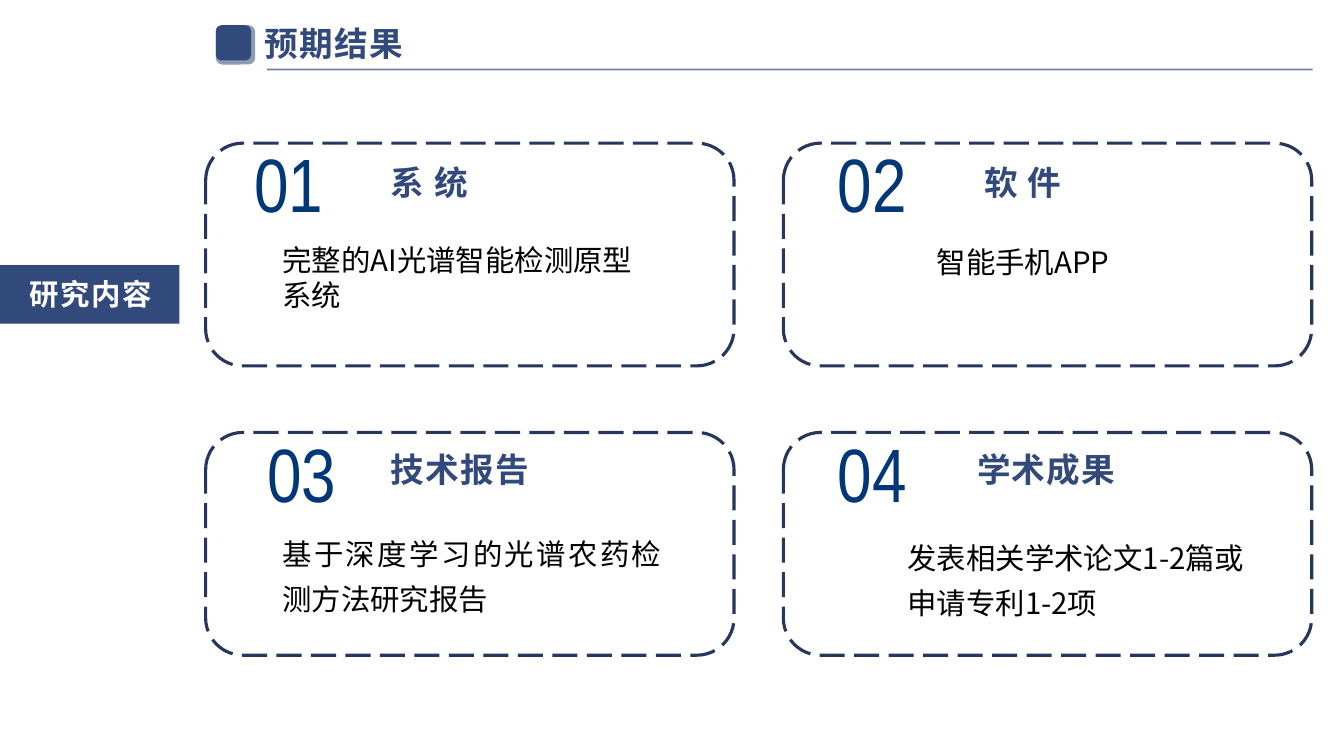
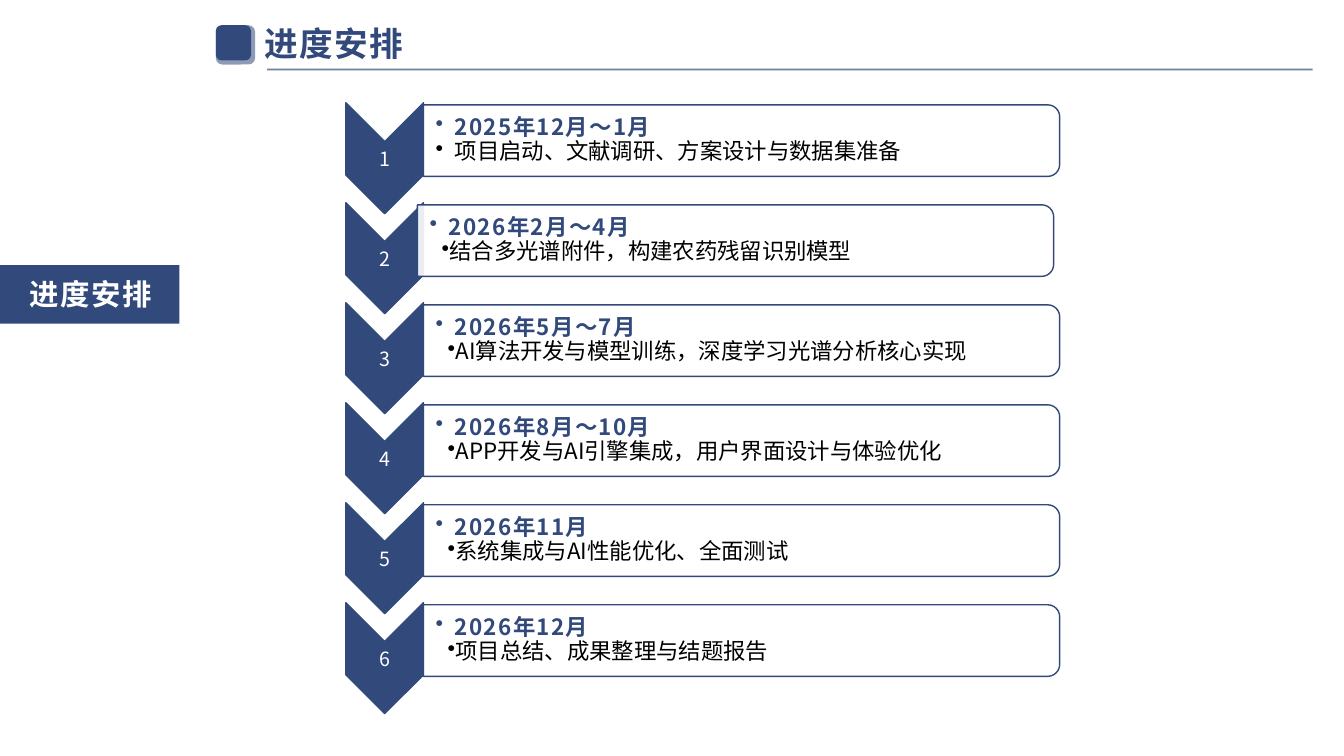
import lxml.etree
import pptx
import pptx.dml.color
import pptx.enum.dml
import pptx.enum.shapes
import pptx.enum.text
import pptx.oxml.ns
import pptx.util

Inches = pptx.util.Inches
Pt = pptx.util.Pt
RGBColor = pptx.dml.color.RGBColor
SHAPE = pptx.enum.shapes.MSO_SHAPE
ALIGN = pptx.enum.text.PP_ALIGN
ANCHOR = pptx.enum.text.MSO_ANCHOR
qn = pptx.oxml.ns.qn

NAVY = RGBColor(0x32, 0x49, 0x7B)
FRAME = RGBColor(0x25, 0x37, 0x5C)
DEEP = RGBColor(0x00, 0x37, 0x78)
WHITE = RGBColor(0xFF, 0xFF, 0xFF)
BLACK = RGBColor(0x00, 0x00, 0x00)

SANS = "Noto Sans CJK SC"
HEADING = dict(name=SANS, size=Pt(24), bold=True, color=NAVY, spacing=100)
TAG = dict(name=SANS, size=Pt(21), bold=True, color=WHITE, spacing=100)
NUMBER = dict(name="Arial Narrow", size=Pt(54), color=DEEP)
BODY = dict(name=SANS, size=Pt(21), color=BLACK)
STEP = dict(name=SANS, size=Pt(14), color=WHITE)
DATE = dict(name=SANS, size=Pt(16), bold=True, color=NAVY, spacing=100)
TASK = dict(name=SANS, size=Pt(16), color=BLACK)

CARD_INSETS = (0, 0.05, 0.1, 0.05)
CARD_W, CARD_H = 5.24, 2.21
CARD_X, CARD_Y = (2.04, 7.77), (1.42, 4.29)
CARDS = [
    dict(number="01", title="系 统", body="完整的AI光谱智能检测原型系统",
         number_at=(0.48, -0.01), title_at=(1.83, 0.14),
         body_at=(0.76, 0.93), body_w=3.79, para={}),
    dict(number="02", title="软 件", body="智能手机APP",
         number_at=(0.54, -0.01), title_at=(1.99, 0.14),
         body_at=(1.52, 0.85), body_w=3.55, para=dict(line_spacing=1.3)),
    dict(number="03", title="技术报告", body="基于深度学习的光谱农药检测方法研究报告",
         number_at=(0.61, 0), title_at=(1.83, 0.11),
         body_at=(0.76, 0.87), body_w=3.86,
         para=dict(line_spacing=1.3, alignment=ALIGN.JUSTIFY)),
    dict(number="04", title="学术成果", body="发表相关学术论文1-2篇或申请专利1-2项",
         number_at=(0.54, 0), title_at=(1.92, 0.11),
         body_at=(1.23, 0.91), body_w=3.55, para=dict(line_spacing=1.3)),
]

HANGING, FLUSH = (0.19, -0.19), (0.12, 0)
STEP_X, STEP_Y, STEP_PITCH = 3.43, 1.02, 4.96 / 5
STEPS = [
    ("2025年12月～1月", "项目启动、文献调研、方案设计与数据集准备", HANGING, 0),
    ("2026年2月～4月", "结合多光谱附件，构建农药残留识别模型", FLUSH, -0.06),
    ("2026年5月～7月", "AI算法开发与模型训练，深度学习光谱分析核心实现", FLUSH, 0),
    ("2026年8月～10月", "APP开发与AI引擎集成，用户界面设计与体验优化", FLUSH, 0),
    ("2026年11月", "系统集成与AI性能优化、全面测试", FLUSH, 0),
    ("2026年12月", "项目总结、成果整理与结题报告", FLUSH, 0),
]


def set_alpha(sp, query, percent):
    for clr in sp.element.xpath(query):
        lxml.etree.SubElement(clr, qn("a:alpha"), val=str(percent * 1000))


def add_run(p, text, font):
    r = p.add_run()
    r.text = text
    for key, value in font.items():
        if key == "color":
            r.font.color.rgb = value
        elif key != "spacing":
            setattr(r.font, key, value)
    rpr = r.font._element
    lxml.etree.SubElement(rpr, qn("a:ea"), typeface=font["name"])
    if "spacing" in font:
        rpr.set("spc", str(font["spacing"]))


def add_bullet(p, indent):
    ppr = p._p.get_or_add_pPr()
    ppr.set("marL", str(Inches(indent[0])))
    ppr.set("indent", str(Inches(indent[1])))
    lxml.etree.SubElement(ppr, qn("a:buChar"), char="•")


def set_text(tf, lines, insets=None, wrap=True, anchor=ANCHOR.TOP):
    tf.word_wrap = wrap
    tf.vertical_anchor = anchor
    if insets:
        for side, value in zip(("left", "top", "right", "bottom"), insets):
            setattr(tf, "margin_" + side, Inches(value))
    for i, (text, font, para, indent) in enumerate(lines):
        p = tf.add_paragraph() if i else tf.paragraphs[0]
        for key, value in para.items():
            setattr(p, key, value)
        if indent:
            add_bullet(p, indent)
        add_run(p, text, font)


def add_text(s, box, lines, **options):
    sp = s.shapes.add_textbox(*map(Inches, box))
    set_text(sp.text_frame, lines, **options)


def add_box(s, kind, box, fill=None, alpha=None, line=None, width=1):
    sp = s.shapes.add_shape(kind, *map(Inches, box))
    sp.shadow.inherit = False
    if fill is None:
        sp.fill.background()
    else:
        sp.fill.solid()
        sp.fill.fore_color.rgb = fill
    if alpha:
        set_alpha(sp, "./p:spPr/a:solidFill/a:srgbClr", alpha)
    if line is None:
        sp.line.fill.background()
    else:
        sp.line.color.rgb = line
        sp.line.width = Pt(width)
    return sp


def add_turned(s, kind, box, **style):
    x, y, w, h = box
    frame = (x + (w - h) / 2, y + (h - w) / 2, h, w)
    sp = add_box(s, kind, frame, **style)
    sp.rotation = 90


def add_header(s, title, x=2.14, y=0.18):
    sp = s.shapes.title
    for key, value in dict(left=x + 0.38, top=y, width=1.6, height=0.5).items():
        setattr(sp, key, Inches(value))
    set_text(sp.text_frame, [(title, HEADING, dict(alignment=ALIGN.LEFT), None)],
             wrap=False)
    add_box(s, SHAPE.ROUNDED_RECTANGLE, (x, y + 0.07, 0.39, 0.39), NAVY, 55)
    add_box(s, SHAPE.ROUNDED_RECTANGLE, (x, y + 0.07, 0.35, 0.35), NAVY)
    rule = s.shapes.add_connector(
        pptx.enum.shapes.MSO_CONNECTOR.STRAIGHT,
        *map(Inches, (x + 0.51, y + 0.51, 13.02, y + 0.51)))
    rule.line.color.rgb = NAVY
    rule.line.width = Pt(1.25)
    set_alpha(rule, "./p:spPr/a:ln/a:solidFill/a:srgbClr", 70)
    lxml.etree.SubElement(rule.element.spPr, qn("a:effectLst"))


def add_section_tag(s, text):
    sp = add_box(s, SHAPE.RECTANGLE, (0, 2.63, 1.78, 0.58), NAVY)
    set_text(sp.text_frame, [(text, TAG, dict(alignment=ALIGN.CENTER), None)],
             insets=(0.12, 0.03, 0.1, 0.05), anchor=ANCHOR.MIDDLE)


def add_base(prs, title, section):
    s = prs.slides.add_slide(prs.slide_layouts[5])
    add_header(s, title)
    add_section_tag(s, section)
    return s


def add_card(s, x, y, card):
    sp = add_box(s, SHAPE.ROUNDED_RECTANGLE, (x, y, CARD_W, CARD_H),
                 line=FRAME, width=2.25)
    sp.line.dash_style = pptx.enum.dml.MSO_LINE.LONG_DASH
    parts = [
        ("number", 1.3, 0.92, NUMBER, dict(line_spacing=0.9)),
        ("title", 2.09, 0.5, HEADING, {}),
        ("body", card["body_w"], 0.98, BODY, card["para"]),
    ]
    for part, w, h, font, para in parts:
        dx, dy = card[part + "_at"]
        add_text(s, (x + dx, y + dy, w, h), [(card[part], font, para, None)],
                 insets=CARD_INSETS)


def add_step(s, x, y, number, step):
    date, task, indent, shift = step
    tight = dict(line_spacing=0.9)
    add_turned(s, SHAPE.CHEVRON, (x, y, 0.77, 1.1), fill=NAVY, line=NAVY)
    add_text(s, (x, y + 0.4, 0.77, 0.33),
             [(str(number), STEP, dict(tight, alignment=ALIGN.CENTER), None)],
             insets=[0.01] * 4, anchor=ANCHOR.MIDDLE)
    row_x = x + 0.77 + shift
    add_turned(s, SHAPE.ROUND_2_SAME_RECTANGLE, (row_x, y + 0.02, 6.31, 0.71),
               fill=WHITE, alpha=90, line=NAVY)
    add_text(s, (row_x, y + 0.05, 6.28, 0.64),
             [(date, DATE, tight, HANGING), (task, TASK, tight, indent)],
             insets=(0.12, 0.01, 0.01, 0.01), anchor=ANCHOR.MIDDLE)


def build_results(prs):
    s = add_base(prs, "预期结果", "研究内容")
    for i, card in enumerate(CARDS):
        add_card(s, CARD_X[i % 2], CARD_Y[i // 2], card)


def build_schedule(prs):
    s = add_base(prs, "进度安排", "进度安排")
    for i, step in enumerate(STEPS):
        add_step(s, STEP_X, STEP_Y + i * STEP_PITCH, i + 1, step)


def main():
    prs = pptx.Presentation()
    prs.slide_width, prs.slide_height = Inches(13.33), Inches(7.5)
    build_results(prs)
    build_schedule(prs)
    prs.save("out.pptx")


if __name__ == "__main__":
    main()
